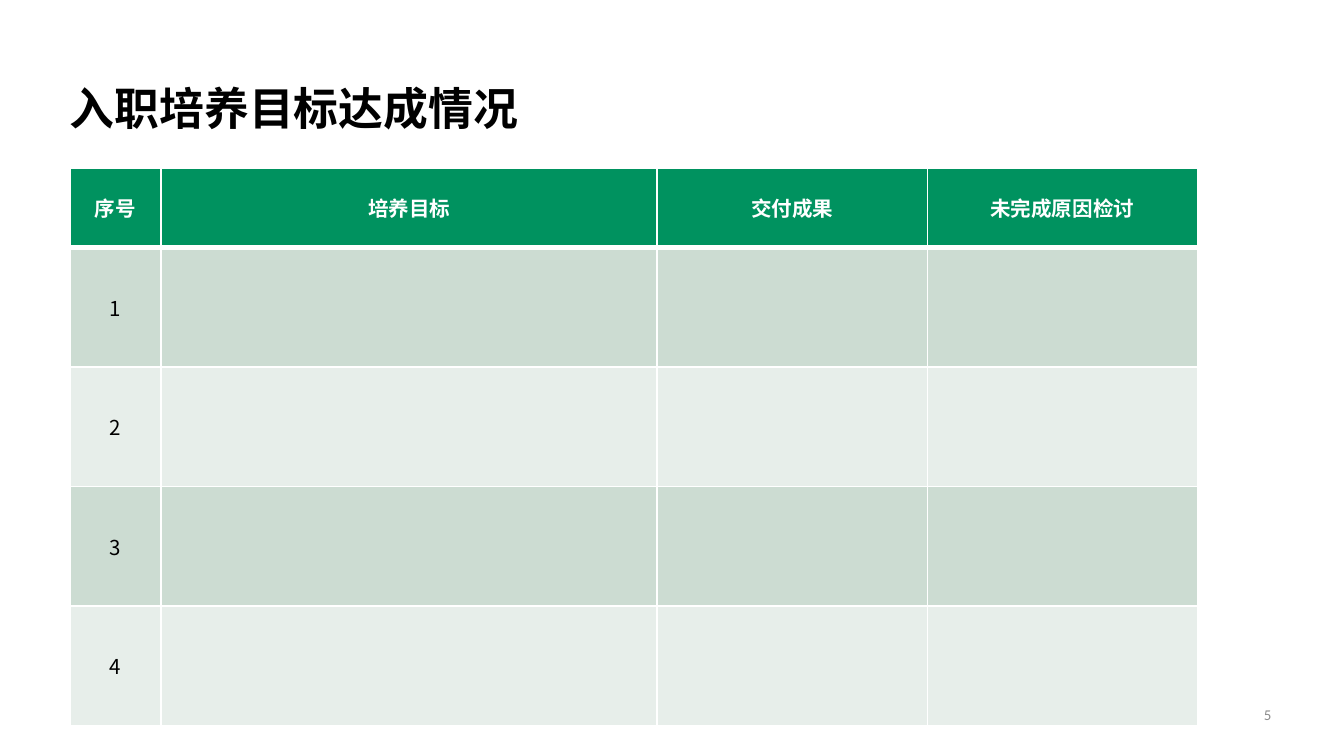
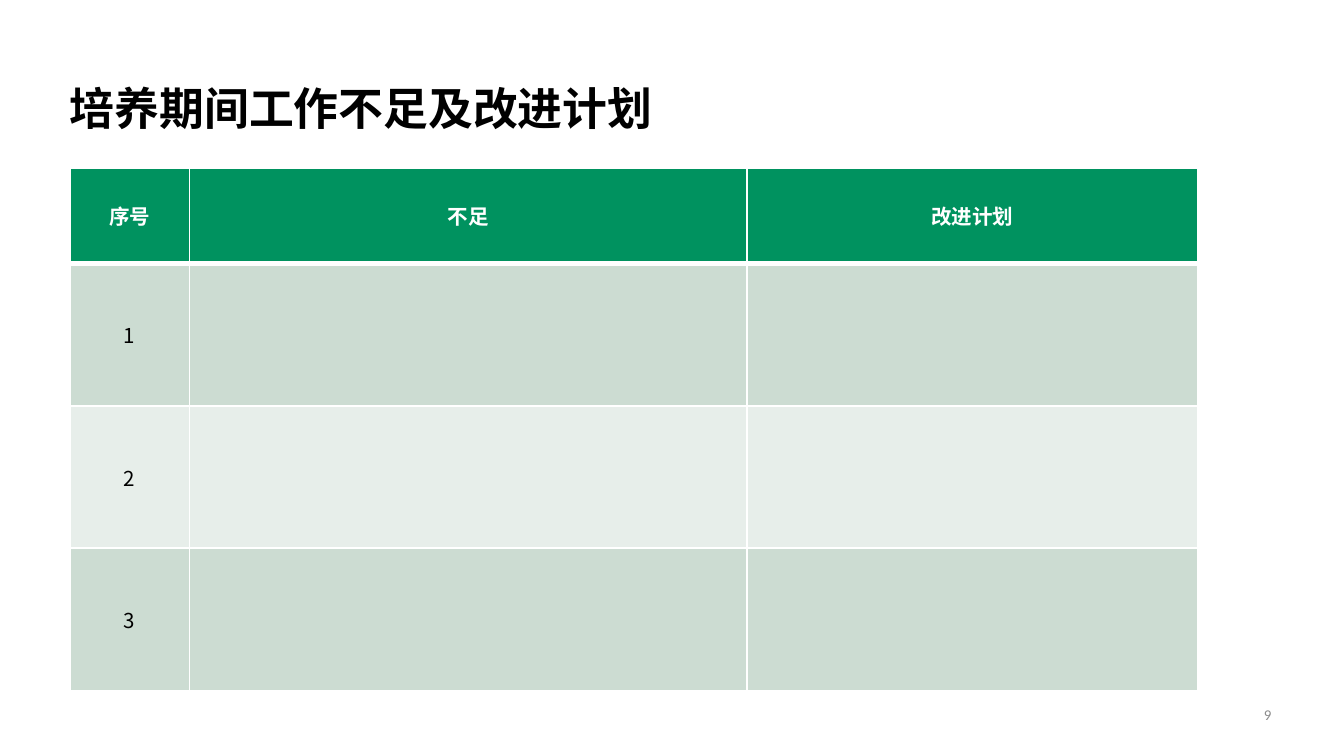
import pptx
import pptx.util
import pptx.dml.color
import pptx.enum.text
import pptx.oxml.ns
import lxml.etree

Inches, Pt = pptx.util.Inches, pptx.util.Pt
ALIGN = pptx.enum.text.PP_ALIGN
MIDDLE = pptx.enum.text.MSO_ANCHOR.MIDDLE
qn = pptx.oxml.ns.qn

CJK = "Noto Sans CJK SC"
GREEN, WHITE, BLACK, GREY = "00925F", "FFFFFF", "000000", "8C8C8C"
BANDS = ["CCDCD2", "E7EEEA"]
WIDTH = 10
HEIGHT = WIDTH * 9 / 16
LEFT, TABLE_TOP = 0.52, 1.25
THIN, THICK = 1, 3

SLIDES = [
    {"title": "入职培养目标达成情况", "number": 5,
     "heads": ["序号", "培养目标", "交付成果", "未完成原因检讨"],
     "widths": [0.68, 3.69, 2.01, 2.01], "head_height": 0.59,
     "row_height": 0.89, "items": 4},
    {"title": "培养期间工作不足及改进计划", "number": 9,
     "heads": ["序号", "不足", "改进计划"],
     "widths": [0.89, 4.15, 3.35], "head_height": 0.71,
     "row_height": 1.06, "items": 3},
]


def write(tf, text, size, color, font=CJK, bold=False, align=ALIGN.LEFT):
    p = tf.paragraphs[0]
    p.alignment = align
    r = p.add_run()
    r.text = text
    for name, value in {"size": Pt(size), "bold": bold, "name": font}.items():
        setattr(r.font, name, value)
    r.font.color.rgb = pptx.dml.color.RGBColor.from_string(color)
    lxml.etree.SubElement(r.font._element, qn("a:ea"), typeface=font)


def style_cell(cell, fill, top, bottom):
    """Draw white borders of the given widths, then fill the cell."""
    tcPr = cell._tc.get_or_add_tcPr()
    for side, width in {"L": THIN, "R": THIN, "T": top, "B": bottom}.items():
        ln = lxml.etree.SubElement(tcPr, qn("a:ln" + side), w=str(Pt(width)))
        solid = lxml.etree.SubElement(ln, qn("a:solidFill"))
        lxml.etree.SubElement(solid, qn("a:srgbClr"), val=WHITE)
    cell.fill.solid()
    cell.fill.fore_color.rgb = pptx.dml.color.RGBColor.from_string(fill)
    cell.vertical_anchor = MIDDLE


prs = pptx.Presentation()
prs.slide_width, prs.slide_height = Inches(WIDTH), Inches(HEIGHT)

for page in SLIDES:
    s = prs.slides.add_slide(prs.slide_layouts[6])

    # Page number
    tf = s.shapes.add_textbox(Inches(8.58), Inches(5.2), Inches(0.88), Inches(0.24)).text_frame
    tf.word_wrap = True
    tf.margin_right = 0
    write(tf, str(page["number"]), 8, GREY, "Calibri", align=ALIGN.RIGHT)

    # Title
    tf = s.shapes.add_textbox(Inches(LEFT), Inches(0.55), Inches(6.43), Inches(0.5)).text_frame
    tf.word_wrap = True
    tf.vertical_anchor = MIDDLE
    tf.margin_left = tf.margin_top = tf.margin_bottom = 0
    write(tf, page["title"], 24, BLACK, bold=True)

    # Table: a header row, then numbered rows left open to fill in
    widths = page["widths"]
    heights = [page["head_height"]] + [page["row_height"]] * page["items"]
    table = s.shapes.add_table(len(heights), len(widths), Inches(LEFT), Inches(TABLE_TOP),
                               Inches(sum(widths)), Inches(sum(heights))).table
    for column, width in zip(table.columns, widths):
        column.width = Inches(width)
    for i, height in enumerate(heights):
        table.rows[i].height = Inches(height)
        fill = BANDS[(i - 1) % 2] if i else GREEN
        for cell in table.rows[i].cells:
            style_cell(cell, fill, THICK if i == 1 else THIN, THIN if i else THICK)
        if i:
            write(table.cell(i, 0).text_frame, str(i), 11, BLACK, align=ALIGN.CENTER)
    for j, head in enumerate(page["heads"]):
        write(table.cell(0, j).text_frame, head, 11, WHITE, bold=True, align=ALIGN.CENTER)

prs.save("out.pptx")
